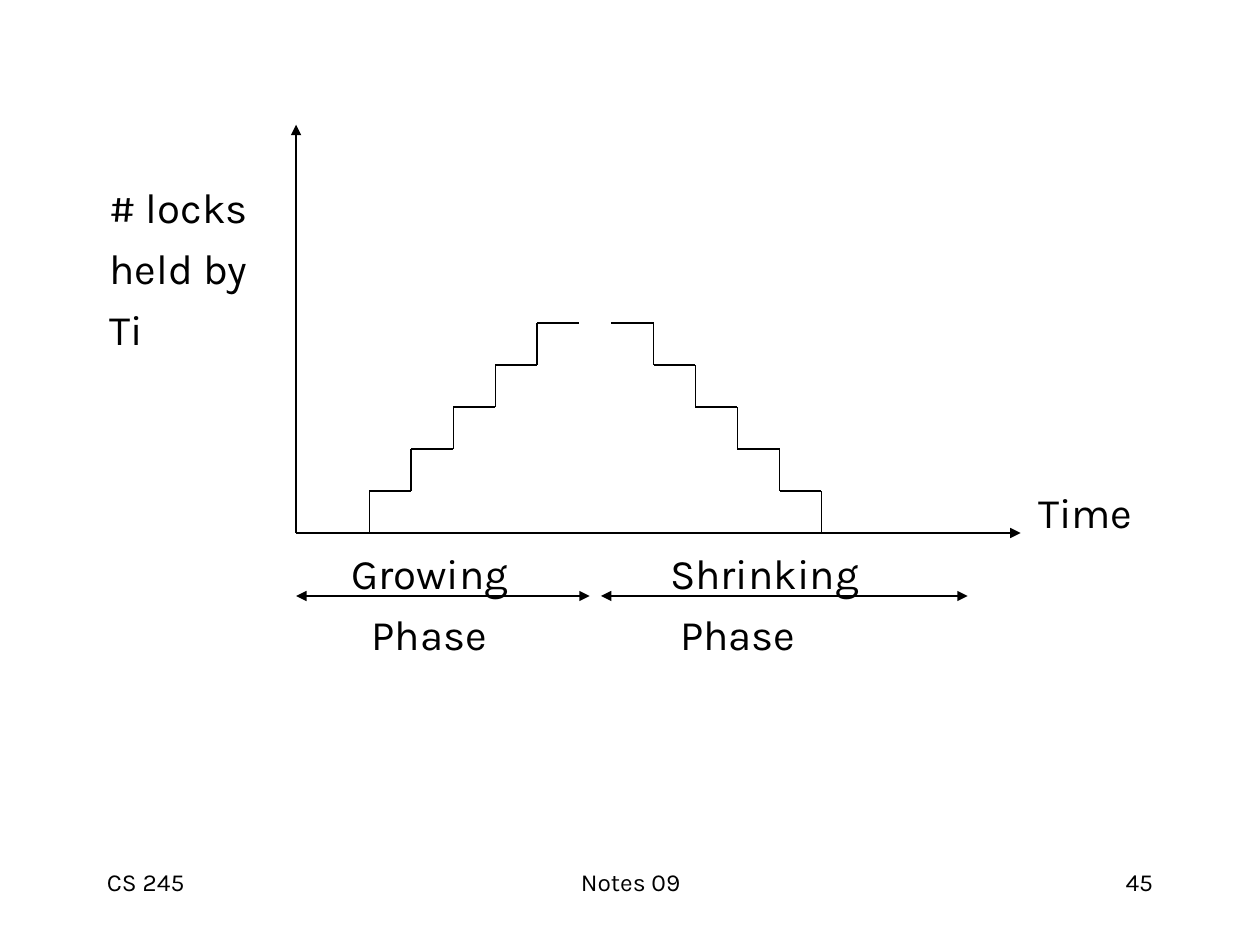
import pptx
import pptx.dml.color
import pptx.enum.shapes
import pptx.enum.text
import pptx.oxml.ns
import pptx.util
from lxml import etree

BLACK = pptx.dml.color.RGBColor(0, 0, 0)
WHITE = pptx.dml.color.RGBColor(255, 255, 255)
FONT = "Karla"
ALIGN = pptx.enum.text.PP_ALIGN
Inches = pptx.util.Inches

ROW = 0.484        # pitch of the label lines
STEP = 1 / 3       # width and height of one stair
STEP_COUNT = 5


def add_line(slide, start, end, arrow=False):
    line = slide.shapes.add_connector(
        pptx.enum.shapes.MSO_CONNECTOR.STRAIGHT,
        *(Inches(value) for value in (*start, *end)))
    line.line.color.rgb = BLACK
    line.line.width = pptx.util.Pt(0.75)
    qn = pptx.oxml.ns.qn
    if arrow:
        etree.SubElement(line.line._get_or_add_ln(), qn("a:tailEnd"), type="triangle")
    etree.SubElement(line._element.spPr, qn("a:effectLst"))


def write_lines(frame, lines, size, align=ALIGN.LEFT, space=0, indents=()):
    """Write one paragraph per line, each with an optional left indent in inches."""
    frame.word_wrap = True
    frame.auto_size = pptx.enum.text.MSO_AUTO_SIZE.NONE
    frame.vertical_anchor = pptx.enum.text.MSO_ANCHOR.TOP
    paragraph_format = {"alignment": align, "space_before": pptx.util.Pt(space)}
    font_format = {"name": FONT, "size": pptx.util.Pt(size)}
    for index, line in enumerate(lines):
        paragraph = frame.paragraphs[0] if index == 0 else frame.add_paragraph()
        for name, value in paragraph_format.items():
            setattr(paragraph, name, value)
        properties = paragraph._p.get_or_add_pPr()
        indent = indents[index] if indents else 0
        properties.set("marL", str(Inches(indent)))
        properties.set("indent", "0")
        etree.SubElement(properties, pptx.oxml.ns.qn("a:buNone"))
        run = paragraph.add_run()
        run.text = line
        for name, value in font_format.items():
            setattr(run.font, name, value)
        run.font.color.rgb = BLACK


def add_text(slide, box, lines, size, **options):
    text_box = slide.shapes.add_textbox(*(Inches(value) for value in box))
    write_lines(text_box.text_frame, lines, size, **options)


def add_footer(slide, top, height):
    cells = (
        (0.75, 2.08, "CS 245", ALIGN.LEFT),
        (3.42, 3.17, "Notes 09", ALIGN.CENTER),
        (7.17, 2.08, "45", ALIGN.RIGHT),
    )
    for left, width, text, align in cells:
        add_text(slide, (left, top, width, height), [text], 14, align=align)


def add_labels(slide, left, top):
    # Vertical axis label in the body placeholder
    body = slide.placeholders[1]
    box = {"left": left, "top": top, "width": 1.5, "height": 3.5 * ROW}
    for name, value in box.items():
        setattr(body, name, Inches(value))
    write_lines(body.text_frame, ["# locks", "held by", "Ti"], 24, space=6)

    # Time axis and phase names, on the same line pitch
    labels = (
        (8.14, 5, 1.2, ["Time"], (0,)),
        (2.69, 6, 1.8, ["Growing", "Phase"], (0, 0.16)),
        (5.22, 6, 2, ["Shrinking", "Phase"], (0, 0.08)),
    )
    for label_left, row, width, lines, indents in labels:
        box = (label_left, top + row * ROW, width, (len(lines) + 0.2) * ROW)
        add_text(slide, box, lines, 24, space=6, indents=indents)


def add_stairs(slide, foot, base, direction):
    """Climb from the foot towards the peak: 1 goes right, -1 goes left."""
    for index in range(STEP_COUNT):
        x = foot + direction * index * STEP
        y = base - index * STEP
        corner = (x, y - STEP)
        add_line(slide, (x, y), corner)
        add_line(slide, corner, (x + direction * STEP, y - STEP))


def add_graph(slide, left, top, width, height):
    base = top + height
    # Axes
    for end in ((left + width, base), (left, top)):
        add_line(slide, (left, base), end, arrow=True)
    # Phase spans, each drawn outwards from an inner point
    for start, middle, end in ((left, 3.18, 4.68), (4.77, 6.43, 7.68)):
        for tip in (start, end):
            add_line(slide, (middle, base + 0.5), (tip, base + 0.5), arrow=True)
    # Locks gained, then released
    add_stairs(slide, 2.93, base, 1)
    add_stairs(slide, 6.52, base, -1)


def main():
    presentation = pptx.Presentation()
    presentation.slide_width = Inches(10)
    presentation.slide_height = Inches(7.5)
    slide = presentation.slides.add_slide(presentation.slide_layouts[1])
    slide.background.fill.solid()
    slide.background.fill.fore_color.rgb = WHITE
    title = slide.shapes.title._element
    title.getparent().remove(title)

    add_footer(slide, 6.83, 0.5)
    add_labels(slide, 0.77, 1.39)
    add_graph(slide, 2.35, 0.99, 5.75, 3.24)
    presentation.save("out.pptx")


if __name__ == "__main__":
    main()
